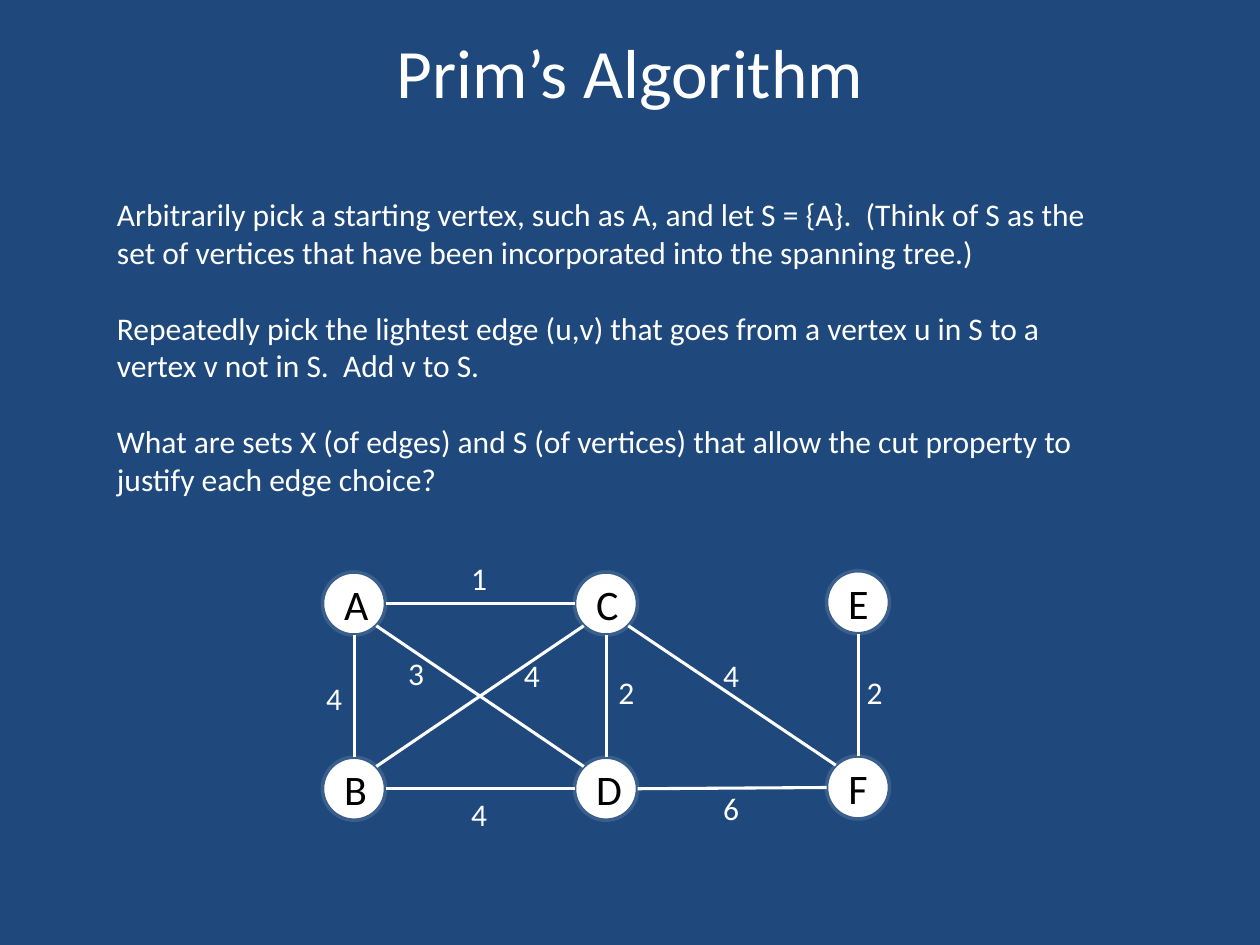
from math import hypot

from lxml import etree
from pptx import Presentation
from pptx.dml.color import RGBColor
from pptx.enum import shapes, text
from pptx.oxml import ns
from pptx.util import Inches, Pt

NAVY = RGBColor(0x1F, 0x49, 0x7D)
RING = RGBColor(0x3A, 0x5F, 0x8C)
WHITE = RGBColor(0xFF, 0xFF, 0xFF)
BLACK = RGBColor(0, 0, 0)
FONT = "Calibri"

RADIUS = 0.25
COLUMN_X = (2.81, 4.81, 6.81)
ROW_Y = (4.79, 6.26)
LAST_COLUMN_LIFT = 0.01

# vertex: (column, row)
VERTICES = {"A": (0, 0), "B": (0, 1), "C": (1, 0),
            "D": (1, 1), "E": (2, 0), "F": (2, 1)}

# start, end, weight, left and top of the weight label
EDGES = [
    ("A", "C", 1, 3.64, 4.39),
    ("A", "B", 4, 2.49, 5.34),
    ("A", "D", 3, 3.14, 5.14),
    ("B", "C", 4, 4.06, 5.16),
    ("B", "D", 4, 3.64, 6.26),
    ("C", "D", 2, 4.81, 5.29),
    ("C", "F", 4, 5.64, 5.16),
    ("D", "F", 6, 5.64, 6.21),
    ("E", "F", 2, 6.78, 5.29),
]

STEPS = [
    "Arbitrarily pick a starting vertex, such as A, and let S = {A}.  (Think of S as the "
    "set of vertices that have been incorporated into the spanning tree.)",
    "Repeatedly pick the lightest edge (u,v) that goes from a vertex u in S to a "
    "vertex v not in S.  Add v to S.",
    "What are sets X (of edges) and S (of vertices) that allow the cut property to "
    "justify each edge choice?",
]


def style_text(frame, size, color, align=text.PP_ALIGN.LEFT):
    for para in frame.paragraphs:
        para.alignment = align
        for span in para.runs:
            span.font.name = FONT
            span.font.size = Pt(size)
            span.font.color.rgb = color


def add_text(page, content, left, top, width, height, size, wrap=True,
             align=text.PP_ALIGN.LEFT):
    box = page.shapes.add_textbox(Inches(left), Inches(top), Inches(width), Inches(height))
    frame = box.text_frame
    frame.word_wrap = wrap
    frame.text = content
    style_text(frame, size, WHITE, align)
    return frame


def vertex_center(name):
    column, row = VERTICES[name]
    lift = LAST_COLUMN_LIFT if column == 2 else 0
    return COLUMN_X[column], ROW_Y[row] - lift


def add_vertex(page, name):
    x, y = vertex_center(name)
    circle = page.shapes.add_shape(
        shapes.MSO_SHAPE.OVAL, Inches(x - RADIUS), Inches(y - RADIUS),
        Inches(2 * RADIUS), Inches(2 * RADIUS))
    circle.shadow.inherit = False
    circle.fill.solid()
    circle.fill.fore_color.rgb = WHITE
    circle.line.color.rgb = RING
    circle.line.width = Pt(2)
    circle.text_frame.text = name
    circle.text_frame.vertical_anchor = text.MSO_ANCHOR.MIDDLE
    style_text(circle.text_frame, 24, BLACK, text.PP_ALIGN.CENTER)


def rim_point(name, toward):
    """Point on a vertex's rim facing another vertex, in one of eight directions."""
    x, y = vertex_center(name)
    dx, dy = ((b > a) - (b < a) for a, b in zip(VERTICES[name], VERTICES[toward]))
    scale = RADIUS / hypot(dx, dy)
    return Inches(x + dx * scale), Inches(y + dy * scale)


def add_edge(page, start, end):
    edge = page.shapes.add_connector(
        shapes.MSO_CONNECTOR.STRAIGHT, *rim_point(start, end), *rim_point(end, start))
    edge.line.color.rgb = WHITE
    edge.line.width = Pt(1.75)
    etree.SubElement(edge._element.spPr, ns.qn("a:effectLst"))


def main():
    deck = Presentation()
    deck.slide_width, deck.slide_height = Inches(10), Inches(7.5)
    page = deck.slides.add_slide(deck.slide_layouts[6])
    page.background.fill.solid()
    page.background.fill.fore_color.rgb = NAVY

    title = add_text(page, "Prim’s Algorithm", 0.5, 0.17, 9, 0.78, 39.6,
                     align=text.PP_ALIGN.CENTER)
    title.vertical_anchor = text.MSO_ANCHOR.MIDDLE

    steps = add_text(page, "\n".join(STEPS), 0.83, 1.5, 8.08, 2.83, 18)
    for para in steps.paragraphs[:-1]:
        para.space_after = Pt(21.6)

    for name in VERTICES:
        add_vertex(page, name)
    for start, end, weight, left, top in EDGES:
        add_edge(page, start, end)
        add_text(page, str(weight), left, top, 0.33, 0.4, 18, wrap=False)

    deck.save("out.pptx")


if __name__ == "__main__":
    main()
